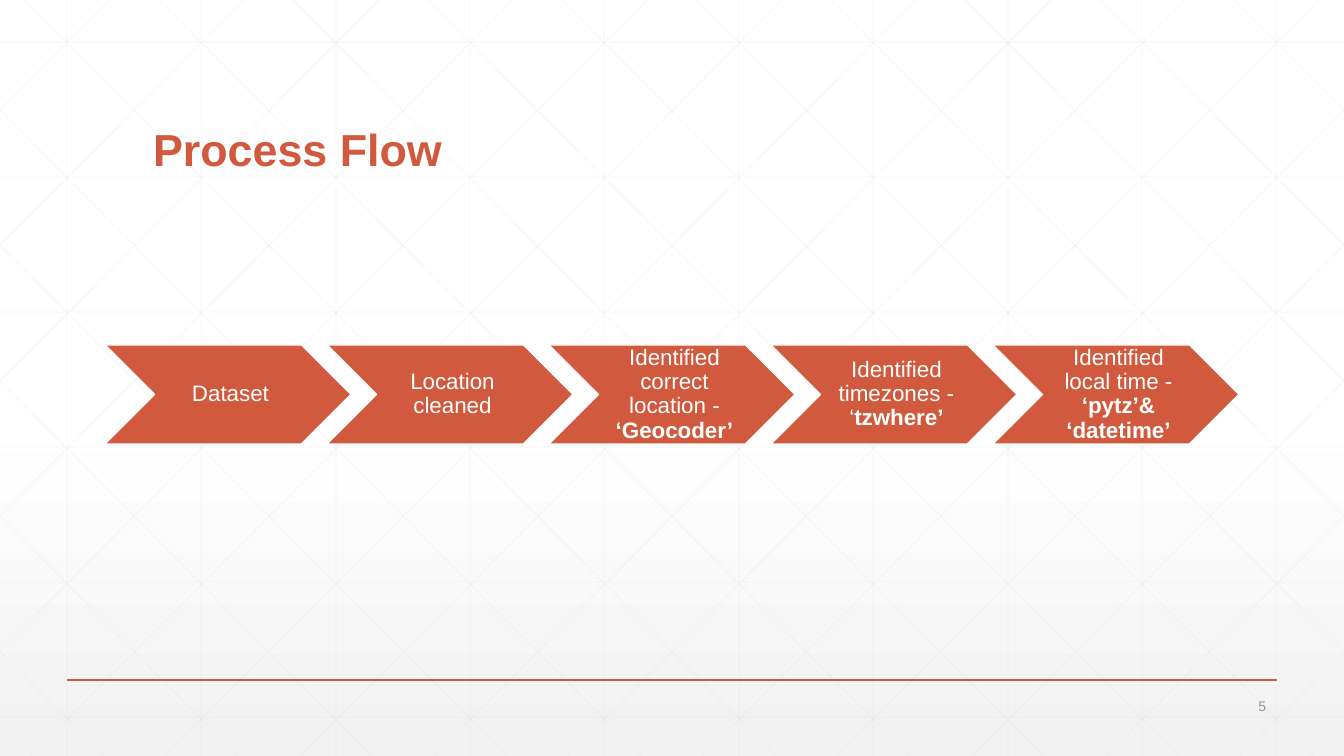
from lxml import etree
from pptx import Presentation
from pptx.dml.color import RGBColor
from pptx.enum.shapes import MSO_CONNECTOR, MSO_SHAPE
from pptx.enum.text import MSO_ANCHOR, PP_ALIGN
from pptx.oxml.ns import qn
from pptx.util import Emu, Pt

STRAIGHT = MSO_CONNECTOR.STRAIGHT
CHEVRON = MSO_SHAPE.CHEVRON
MIDDLE, BOTTOM = MSO_ANCHOR.MIDDLE, MSO_ANCHOR.BOTTOM
LEFT, CENTER, RIGHT = PP_ALIGN.LEFT, PP_ALIGN.CENTER, PP_ALIGN.RIGHT

EMU_PER_PX = 914400 / 100.8
WIDTH, HEIGHT = 1344, 756
FONT = "Arial"
RUST, WHITE, MESH_GRAY, PALE_GRAY, NUMBER_GRAY = "D15A3E", "FFFFFF", "D9D9D9", "F2F2F2", "959795"

STEPS = [
    [("Dataset", False)],
    [("Location cleaned", False)],
    [("Identified correct location - ", False), ("‘Geocoder’", True)],
    [("Identified timezones - ‘", False), ("tzwhere’", True)],
    [("Identified local time - ", False), ("‘pytz’& ‘datetime’", True)],
]


def px(length):
    return Emu(round(length * EMU_PER_PX))


def rgb(value):
    return RGBColor.from_string(value)


def paint_background(slide):
    fill = slide.background.fill
    fill.gradient()
    fill.gradient_angle = 270
    for stop, position, color in zip(fill.gradient_stops, (0.53, 1), (WHITE, PALE_GRAY)):
        stop.position = position
        stop.color.rgb = rgb(color)


def add_line(shapes, start, end, color, weight, opacity=100):
    line = shapes.add_connector(STRAIGHT, *map(px, start + end))
    line.line.color.rgb = rgb(color)
    line.line.width = Pt(weight)
    properties = line.element.spPr
    if opacity < 100:
        tint = properties.find(".//" + qn("a:srgbClr"))
        etree.SubElement(tint, qn("a:alpha")).set("val", str(opacity * 1000))
    etree.SubElement(properties, qn("a:effectLst"))


def mesh_lines():
    for column in range(10):
        x = WIDTH * (2 * column + 1) // 20
        yield (x, 0), (x, HEIGHT)
    for row in range(6):
        y = 42 + 135 * row
        yield (0, y), (WIDTH, y)
    run = 751
    for step in range(-5, 10):
        x = 25 + WIDTH * step // 10
        left, right = max(x, 0), min(x + run, WIDTH)
        top, bottom = ((edge - x) * HEIGHT // run for edge in (left, right))
        yield (left, top), (right, bottom)
        yield (WIDTH - left, top), (WIDTH - right, bottom)


def add_mesh(slide):
    mesh = slide.shapes.add_group_shape()
    for start, end in mesh_lines():
        add_line(mesh.shapes, start, end, MESH_GRAY, 0.5, 25)
    slide.shapes.title.element.addprevious(mesh.element)


def write(frame, runs, size, color, align, anchor, spacing=1.0):
    frame.word_wrap = True
    frame.vertical_anchor = anchor
    paragraph = frame.paragraphs[0]
    paragraph.alignment = align
    paragraph.line_spacing = spacing
    for text, bold in runs:
        run = paragraph.add_run()
        run.text = text
        run.font.name = FONT
        run.font.size = Pt(size)
        run.font.bold = bold
        run.font.color.rgb = rgb(color)


def add_title(slide, text):
    title = slide.shapes.title
    title.left, title.top, title.width, title.height = map(px, (143, 55, 1058, 126))
    write(title.text_frame, [(text, True)], 32, RUST, LEFT, BOTTOM, 0.9)


def add_step(slide, left, runs):
    step = slide.shapes.add_shape(CHEVRON, *map(px, (left, 345, 246, 99)))
    step.shadow.inherit = False
    step.fill.solid()
    step.fill.fore_color.rgb = rgb(RUST)
    step.line.color.rgb = rgb(WHITE)
    step.line.width = Pt(1)
    frame = step.text_frame
    frame.margin_left = px(7)
    frame.margin_top = frame.margin_right = frame.margin_bottom = px(2)
    write(frame, runs, 16, WHITE, CENTER, MIDDLE, 0.9)


def add_page_number(slide, number):
    box = slide.shapes.add_textbox(*map(px, (1175, 694, 101, 24)))
    write(box.text_frame, [(number, False)], 10, NUMBER_GRAY, RIGHT, MIDDLE)


def main():
    deck = Presentation()
    deck.slide_width, deck.slide_height = px(WIDTH), px(HEIGHT)
    slide = deck.slides.add_slide(deck.slide_layouts[5])
    paint_background(slide)
    add_mesh(slide)
    add_line(slide.shapes, (67, 680), (1277, 680), RUST, 1)
    add_title(slide, "Process Flow")
    for index, runs in enumerate(STEPS):
        add_step(slide, 105 + 222 * index, runs)
    add_page_number(slide, "5")
    deck.save("out.pptx")


if __name__ == "__main__":
    main()
